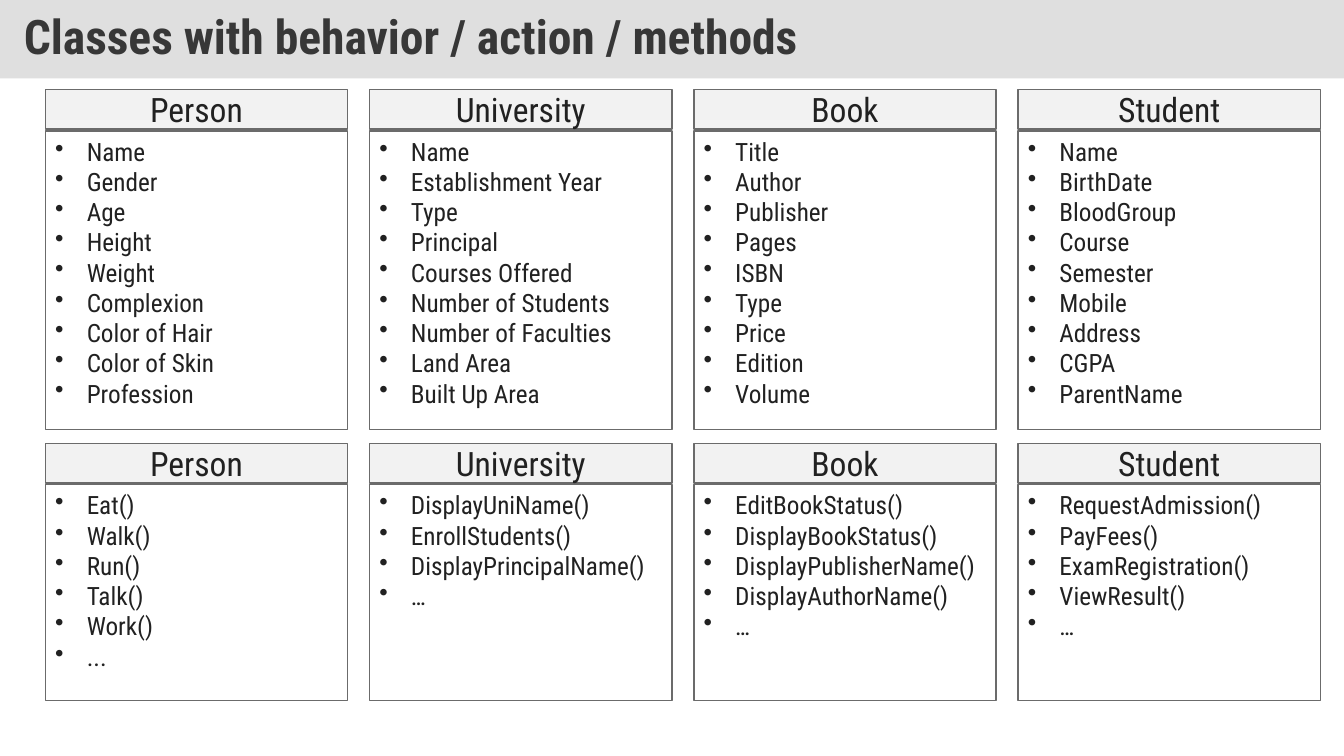
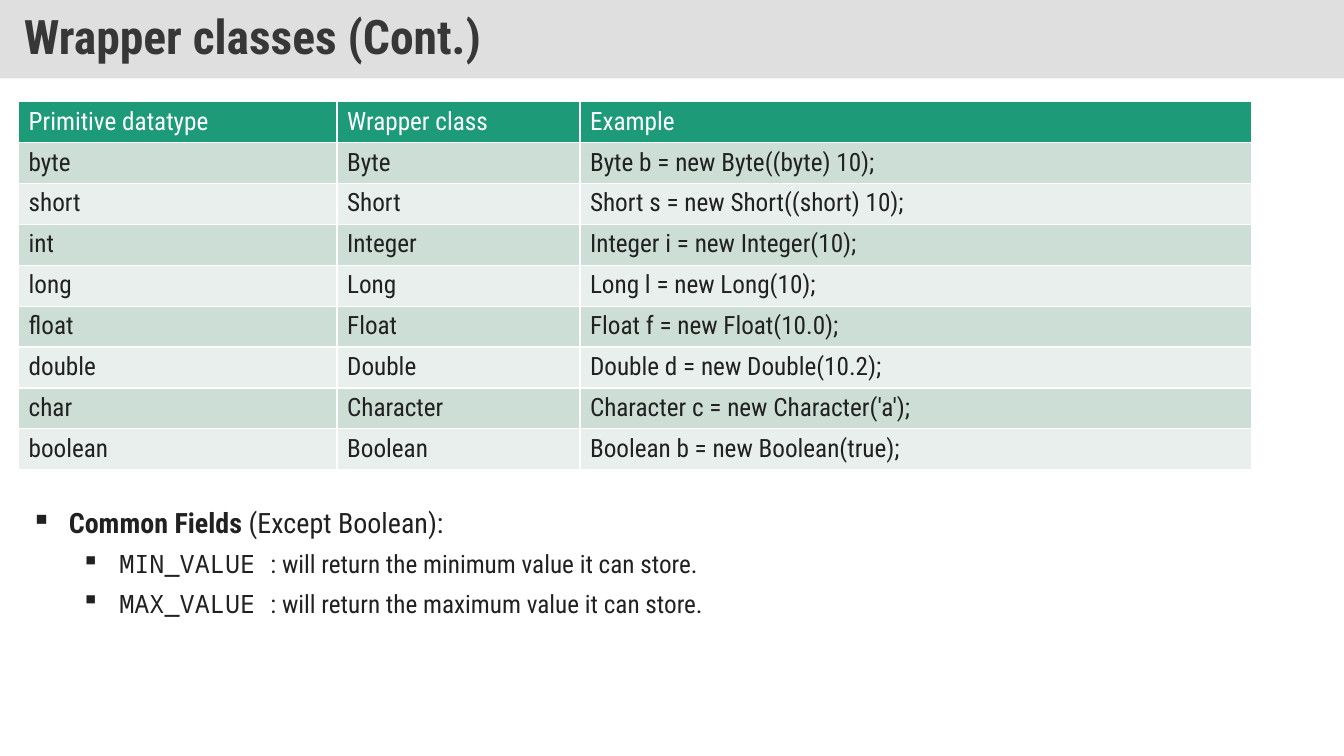
"""Build two slides on classes: their members and methods, and the wrapper classes."""
from lxml.etree import SubElement
from pptx import Presentation
from pptx.dml.color import RGBColor
from pptx.enum.shapes import MSO_SHAPE
from pptx.enum.text import MSO_ANCHOR, PP_ALIGN
from pptx.oxml.ns import qn
from pptx.util import Pt

COLORS = {"band": "C0C0C0", "title": "373737", "text": "212121", "white": "FFFFFF",
          "head": "F2F2F2", "outline": "6B6B6B", "table_head": "1D9A78",
          "row_dark": "CDDED6", "row_light": "E8EFEC"}
SANS, MONO = "Roboto Condensed", "Noto Sans Mono"
TITLE = {"size": Pt(34), "name": SANS, "bold": True}
HEAD = {"size": Pt(24), "name": SANS}
BODY = {"size": Pt(18), "name": SANS, "bold": False}
CODE = {"size": Pt(18), "name": MONO}
LEAD = {"size": Pt(20), "name": SANS}
STRONG = {"size": Pt(20), "name": SANS, "bold": True}

CLASSES = [
    ("Person",
     ["Name", "Gender", "Age", "Height", "Weight", "Complexion", "Color of Hair",
      "Color of Skin", "Profession"],
     ["Eat()", "Walk()", "Run()", "Talk()", "Work()", "..."]),
    ("University",
     ["Name", "Establishment Year", "Type", "Principal", "Courses Offered",
      "Number of Students", "Number of Faculties", "Land Area", "Built Up Area"],
     ["DisplayUniName()", "EnrollStudents()", "DisplayPrincipalName()", "…"]),
    ("Book",
     ["Title", "Author", "Publisher", "Pages", "ISBN", "Type", "Price", "Edition",
      "Volume"],
     ["EditBookStatus()", "DisplayBookStatus()", "DisplayPublisherName()",
      "DisplayAuthorName()", "…"]),
    ("Student",
     ["Name", "BirthDate", "BloodGroup", "Course", "Semester", "Mobile", "Address",
      "CGPA", "ParentName"],
     ["RequestAdmission()", "PayFees()", "ExamRegistration()", "ViewResult()", "…"]),
]
CARD_LEFT, CARD_PITCH, CARD_WIDTH = 32.4, 231.6, 216
HEAD_HEIGHT, BODY_OFFSET = 28.1, 29.5
CARD_ROWS = [(64.1, 213.1), (316.8, 154.1)]

WRAPPERS = [
    ("Primitive datatype", "Wrapper class", "Example"),
    ("byte", "Byte", "Byte b = new Byte((byte) 10);"),
    ("short", "Short", "Short s = new Short((short) 10);"),
    ("int", "Integer", "Integer i = new Integer(10);"),
    ("long", "Long", "Long l = new Long(10);"),
    ("float", "Float", "Float f = new Float(10.0);"),
    ("double", "Double", "Double d = new Double(10.2);"),
    ("char", "Character", "Character c = new Character('a');"),
    ("boolean", "Boolean", "Boolean b = new Boolean(true);"),
]
COLUMN_WIDTHS, ROW_HEIGHT = (227.5, 173.5, 479.5), 29.2

FIELDS = [
    (0, [("Common Fields", STRONG), (" (Except Boolean):", LEAD)]),
    (1, [("MIN_VALUE ", CODE), (": will return the minimum value it can store.", BODY)]),
    (1, [("MAX_VALUE ", CODE), (": will return the maximum value it can store.", BODY)]),
]


def rgb(color):
    return RGBColor.from_string(COLORS[color])


def add_span(para, text, style, color="text"):
    span = para.add_run()
    span.text = text
    for name, value in style.items():
        setattr(span.font, name, value)
    span.font.color.rgb = rgb(color)


def add_bullet(para, symbol, margin, hanging):
    properties = para._p.get_or_add_pPr()
    properties.set("marL", str(Pt(margin)))
    properties.set("indent", str(-Pt(hanging)))
    SubElement(properties, qn("a:buChar")).set("char", symbol)


def paragraphs(frame, items):
    for index, item in enumerate(items):
        yield (frame.add_paragraph() if index else frame.paragraphs[0]), item


def add_box(shapes, left, top, width, height, fill, outline=None, anchor=MSO_ANCHOR.MIDDLE):
    box = shapes.add_shape(MSO_SHAPE.RECTANGLE, Pt(left), Pt(top), Pt(width), Pt(height))
    box.shadow.inherit = False
    box.fill.solid()
    box.fill.fore_color.rgb = rgb(fill)
    if outline:
        box.line.color.rgb = rgb(outline)
        box.line.width = Pt(1)
    else:
        box.line.fill.background()
    box.text_frame.word_wrap = True
    box.text_frame.vertical_anchor = anchor
    return box


def add_page(deck, title):
    page = deck.slides.add_slide(deck.slide_layouts[6])
    band = add_box(page.shapes, 0, 0, 960, 56, "band")
    fill_color = band._element.spPr.find(qn("a:solidFill"))[0]
    SubElement(fill_color, qn("a:alpha")).set("val", "50000")
    frame = band.text_frame
    frame.margin_left = frame.margin_right = Pt(17)
    frame.margin_top = frame.margin_bottom = Pt(8.5)
    para = frame.paragraphs[0]
    para.alignment = PP_ALIGN.LEFT
    para.line_spacing = 0.9
    add_span(para, title, TITLE, "title")
    return page


def add_card(page, left, top, body_height, name, members):
    shapes = page.shapes.add_group_shape().shapes
    body = add_box(shapes, left, top + BODY_OFFSET, CARD_WIDTH, body_height,
                   "white", "outline", MSO_ANCHOR.TOP)
    for para, member in paragraphs(body.text_frame, members):
        para.alignment = PP_ALIGN.LEFT
        add_bullet(para, "•", 22.5, 22.5)
        add_span(para, member, BODY)
    head = add_box(shapes, left, top, CARD_WIDTH, HEAD_HEIGHT, "head", "outline")
    para = head.text_frame.paragraphs[0]
    para.alignment = PP_ALIGN.CENTER
    add_span(para, name, HEAD)


def add_wrapper_table(page):
    table = page.shapes.add_table(
        len(WRAPPERS), len(COLUMN_WIDTHS), Pt(13.3), Pt(72.7),
        Pt(sum(COLUMN_WIDTHS)), Pt(ROW_HEIGHT * len(WRAPPERS))).table
    for column, width in zip(table.columns, COLUMN_WIDTHS):
        column.width = Pt(width)
    for index, (row, values) in enumerate(zip(table.rows, WRAPPERS)):
        row.height = Pt(ROW_HEIGHT)
        fill = ("row_dark" if index % 2 else "row_light") if index else "table_head"
        for cell, value in zip(row.cells, values):
            cell.fill.solid()
            cell.fill.fore_color.rgb = rgb(fill)
            add_span(cell.text_frame.paragraphs[0], value, BODY, "text" if index else "white")


def add_fields(page):
    frame = page.shapes.add_textbox(Pt(15.1), Pt(354.2), Pt(544.3), Pt(149.8)).text_frame
    frame.word_wrap = True
    for para, (level, spans) in paragraphs(frame, FIELDS):
        para.level = level
        add_bullet(para, "▪", 27 + 36 * level, 27)
        para.line_spacing = 1.14
        para.space_before = Pt(3.6 * level)
        for text, style in spans:
            add_span(para, text, style)


def main():
    deck = Presentation()
    deck.slide_width, deck.slide_height = Pt(960), Pt(540)

    page = add_page(deck, "Classes with behavior / action / methods")
    for column, (name, *member_lists) in enumerate(CLASSES):
        for (top, body_height), members in zip(CARD_ROWS, member_lists):
            add_card(page, CARD_LEFT + column * CARD_PITCH, top, body_height, name, members)

    page = add_page(deck, "Wrapper classes (Cont.)")
    add_wrapper_table(page)
    add_fields(page)
    deck.save("out.pptx")


if __name__ == "__main__":
    main()
